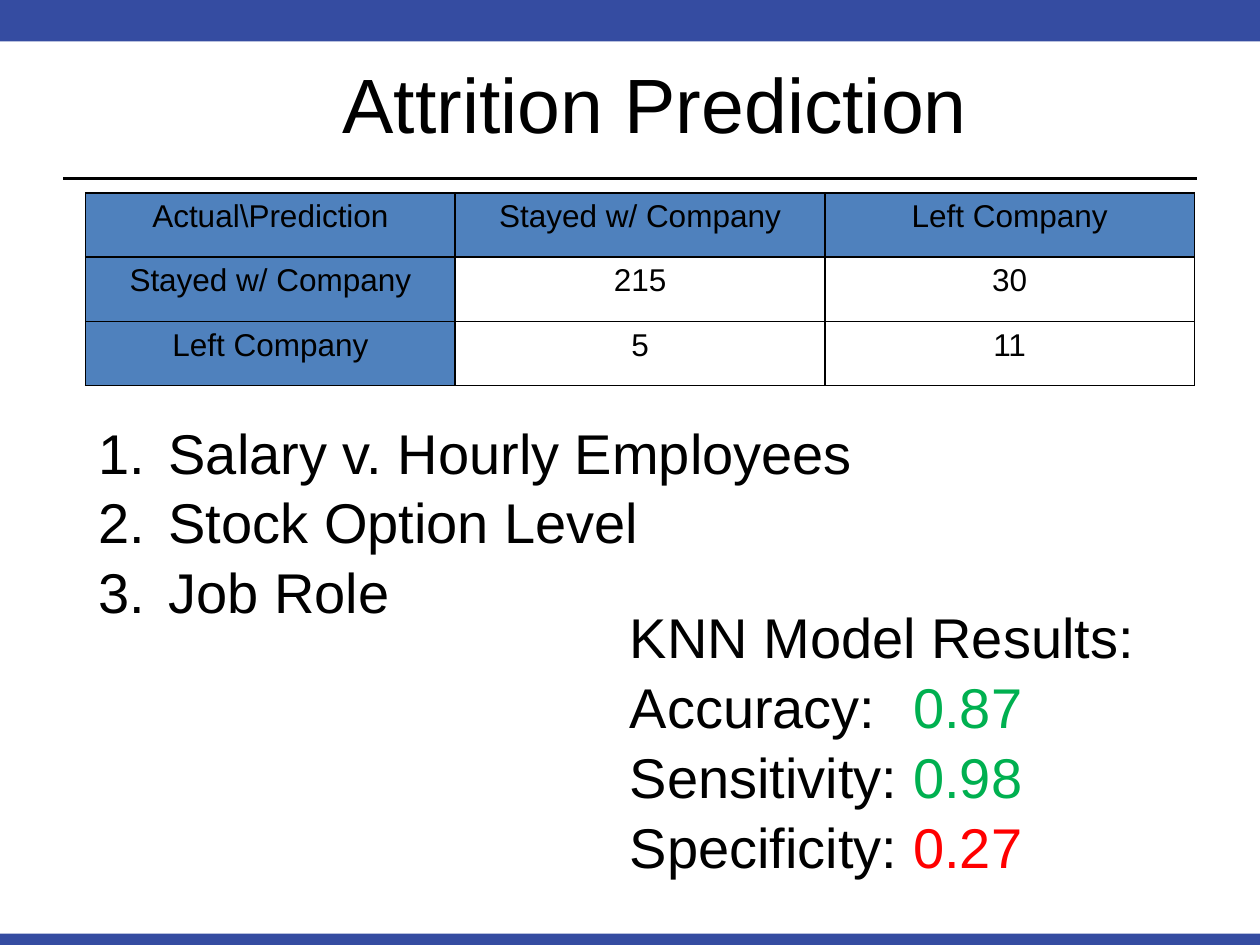
from lxml.etree import SubElement
from pptx import Presentation
from pptx.dml.color import RGBColor
from pptx.enum.shapes import MSO_CONNECTOR, MSO_SHAPE
from pptx.enum.text import MSO_ANCHOR, PP_ALIGN
from pptx.oxml.ns import qn
from pptx.util import Inches, Pt

COLORS = {
    "band": "354CA1", "header": "4F81BD", "text": "000000",
    "good": "00B050", "poor": "FF0000",
}
WIDTH, HEIGHT = 10, 7.5


def rgb(name):
    """Return the named colour."""
    return RGBColor.from_string(COLORS[name])


def across(share):
    """Turn a share of the slide's width into a length."""
    return Inches(WIDTH * share)


def down(share):
    """Turn a share of the slide's height into a length."""
    return Inches(HEIGHT * share)


class ReportSlide:
    """Holds the style and the current slide."""

    font = "Arial"
    line_spacing = 1.04

    def __init__(self, deck):
        """Add a blank slide to the deck."""
        self.slide = deck.slides.add_slide(deck.slide_layouts[6])

    def style(self, run, size, color="text"):
        """Give a run its font, size and colour."""
        run.font.name = self.font
        run.font.size = Pt(size)
        run.font.bold = False
        run.font.color.rgb = rgb(color)

    def band(self, top, height):
        """Draw a full-width band."""
        band = self.slide.shapes.add_shape(
            MSO_SHAPE.RECTANGLE, 0, down(top), across(1), down(height))
        band.shadow.inherit = False
        band.fill.solid()
        band.fill.fore_color.rgb = rgb("band")
        band.line.fill.background()

    def rule(self, left, right, top):
        """Draw a horizontal line."""
        rule = self.slide.shapes.add_connector(
            MSO_CONNECTOR.STRAIGHT, across(left), down(top), across(right), down(top))
        rule.line.color.rgb = rgb("text")
        rule.line.width = Pt(1.25)
        SubElement(rule._element.spPr, qn("a:effectLst"))

    def frame(self, left, top, width, height):
        """Add a wrapping text box and return its text frame."""
        box = self.slide.shapes.add_textbox(
            across(left), down(top), across(width), down(height))
        box.text_frame.word_wrap = True
        return box.text_frame

    def title(self, text, *place):
        """Add the centred title."""
        frame = self.frame(*place)
        frame.vertical_anchor = MSO_ANCHOR.MIDDLE
        frame.text = text
        frame.paragraphs[0].alignment = PP_ALIGN.CENTER
        self.style(frame.paragraphs[0].runs[0], 44)

    def lines(self, lines, *place, size=32):
        """Write lines, each a list of (text, colour) parts; return the paragraphs."""
        frame = self.frame(*place)
        for index, parts in enumerate(lines):
            line = frame.add_paragraph() if index else frame.paragraphs[0]
            line.line_spacing = self.line_spacing
            for text, color in parts:
                run = line.add_run()
                run.text = text
                self.style(run, size, color)
        return frame.paragraphs

    def numbered(self, items, *place, indent=0.56):
        """Write a numbered list."""
        for line in self.lines([[(item, "text")] for item in items], *place):
            props = line._p.get_or_add_pPr()
            props.set("marL", str(Inches(indent)))
            props.set("indent", str(-Inches(indent)))
            SubElement(props, qn("a:buFont"), typeface=self.font)
            SubElement(props, qn("a:buAutoNum"), type="arabicPeriod")

    def metrics(self, heading, scores, *place, value_at=2.25):
        """Write a heading and scores whose values line up at a tab stop."""
        rows = [[(label, "text"), (value, color)] for label, value, color in scores]
        for line in self.lines([[(heading, "text")], *rows], *place):
            stops = SubElement(line._p.get_or_add_pPr(), qn("a:tabLst"))
            SubElement(stops, qn("a:tab"), pos=str(Inches(value_at)), algn="l")

    def borders(self, cell):
        """Outline a cell on all four sides."""
        props = cell._tc.get_or_add_tcPr()
        for index, side in enumerate(("lnL", "lnR", "lnT", "lnB")):
            edge = SubElement(props, qn(f"a:{side}"), w=str(Pt(1)))
            fill = SubElement(edge, qn("a:solidFill"))
            SubElement(fill, qn("a:srgbClr"), val=COLORS["text"])
            props.insert(index, edge)

    def matrix(self, rows, *place):
        """Add a table with a shaded first row and column."""
        left, top, width, height = place
        table = self.slide.shapes.add_table(
            len(rows), len(rows[0]), across(left), down(top),
            across(width), down(height)).table
        for r, row in enumerate(rows):
            for c, text in enumerate(row):
                cell = table.cell(r, c)
                cell.text = text
                entry = cell.text_frame.paragraphs[0]
                entry.alignment = PP_ALIGN.CENTER
                self.style(entry.runs[0], 18)
                if r == 0 or c == 0:
                    cell.fill.solid()
                    cell.fill.fore_color.rgb = rgb("header")
                else:
                    cell.fill.background()
                self.borders(cell)


def main():
    """Build the attrition slide and save it."""
    deck = Presentation()
    deck.slide_width, deck.slide_height = Inches(WIDTH), Inches(HEIGHT)
    report = ReportSlide(deck)
    for top, height in ((0.988, 0.012), (0, 0.044)):
        report.band(top, height)
    report.rule(0.05, 0.95, 0.189)
    report.title("Attrition Prediction", 0.02, 0.025, 1, 0.167)

    stayed, left = "Stayed w/ Company", "Left Company"
    report.matrix([
        ("Actual\\Prediction", stayed, left),
        (stayed, "215", "30"),
        (left, "5", "11"),
    ], 0.068, 0.204, 0.88, 0.204)
    report.metrics("KNN Model Results:", [
        ("Accuracy:\t", "0.87", "good"),
        ("Sensitivity: ", "0.98", "good"),
        ("Specificity: ", "0.27", "poor"),
    ], 0.49, 0.628, 0.51, 0.372)
    report.numbered(
        ["Salary v. Hourly Employees", "Stock Option Level", "Job Role"],
        0.068, 0.433, 0.634, 0.229)
    deck.save("out.pptx")


main()
